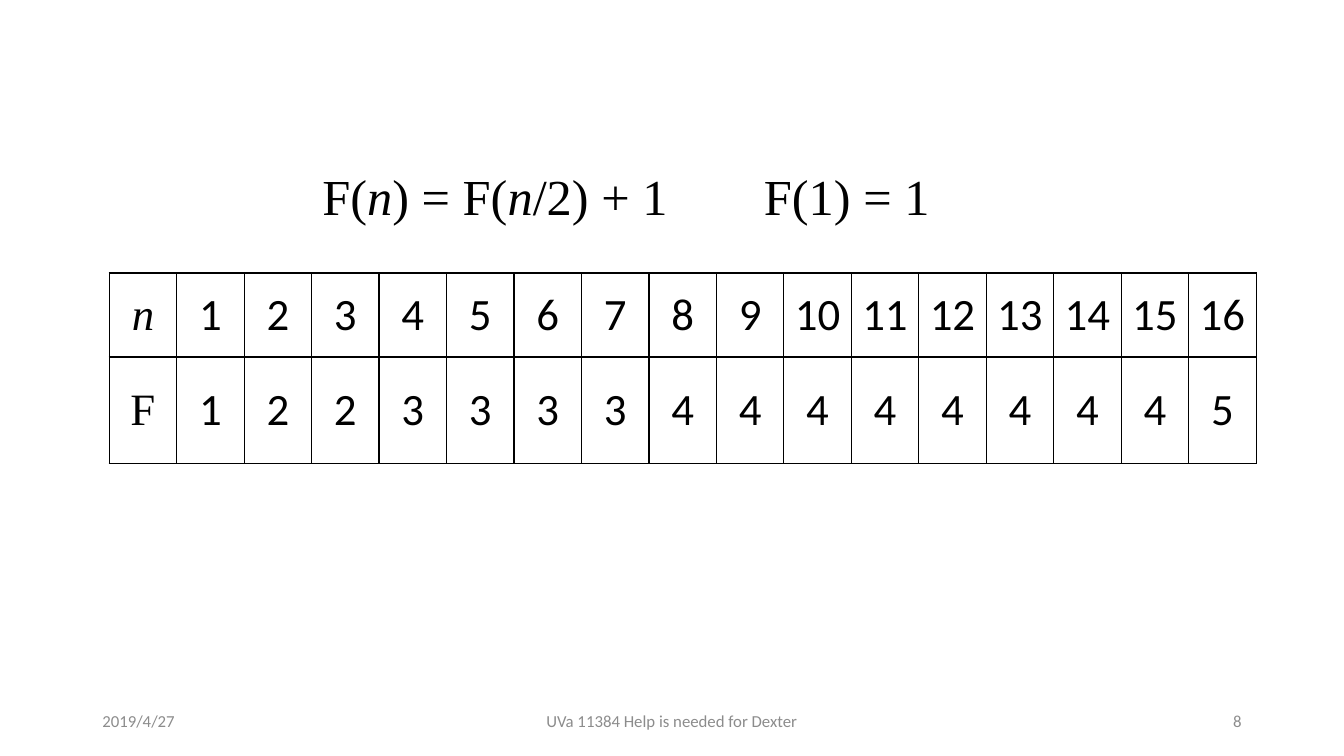
"""Build the slide tabulating the recurrence F(n) = F(n/2) + 1."""
from lxml import etree
from pptx import Presentation
from pptx.dml import color as col
from pptx.enum import text as txt
from pptx.oxml import ns
from pptx.util import Pt


def rgb(value):
    return col.RGBColor.from_string(value)


class SlideBuilder:
    BODY, MATH = "Calibri", "Times New Roman"
    BLACK, GREY = "000000", "8C8C8C"
    LEFT, CENTER, RIGHT = (txt.PP_ALIGN.LEFT, txt.PP_ALIGN.CENTER,
                           txt.PP_ALIGN.RIGHT)

    def __init__(self, slide):
        self.slide = slide

    def add_runs(self, frame, runs, size, font, color, align):
        paragraph = frame.paragraphs[0]
        paragraph.alignment = align
        for words, italic in runs:
            run = paragraph.add_run()
            run.text = words
            run.font.size = Pt(size)
            run.font.name = font
            run.font.italic = italic
            run.font.color.rgb = rgb(color)

    def footer(self, left, width, words, align):
        box = self.slide.shapes.add_textbox(Pt(left), Pt(500.4), Pt(width), Pt(28.8))
        frame = box.text_frame
        frame.word_wrap = True
        frame.vertical_anchor = txt.MSO_ANCHOR.MIDDLE
        self.add_runs(frame, [(words, False)], 12, self.BODY, self.GREY, align)

    def formula(self, left, width, runs):
        box = self.slide.shapes.add_textbox(Pt(left), Pt(114.5), Pt(width), Pt(51))
        frame = box.text_frame
        frame.word_wrap = False
        frame.auto_size = txt.MSO_AUTO_SIZE.SHAPE_TO_FIT_TEXT
        self.add_runs(frame, runs, 36, self.MATH, self.BLACK, self.LEFT)

    def border(self, cell):
        properties = cell._tc.get_or_add_tcPr()
        for side in ("lnL", "lnR", "lnT", "lnB"):
            line = etree.SubElement(properties, ns.qn(f"a:{side}"), w=str(Pt(1)))
            fill = etree.SubElement(line, ns.qn("a:solidFill"))
            etree.SubElement(fill, ns.qn("a:srgbClr"), val=self.BLACK)

    def table(self, left, top, column_width, row_heights, rows):
        columns = len(rows[0])
        grid = self.slide.shapes.add_table(
            len(rows), columns, Pt(left), Pt(top),
            Pt(column_width * columns), Pt(sum(row_heights))).table
        grid.first_row = grid.horz_banding = False
        for column in grid.columns:
            column.width = Pt(column_width)
        for r, (height, entries) in enumerate(zip(row_heights, rows)):
            grid.rows[r].height = Pt(height)
            for c, entry in enumerate(entries):
                cell = grid.cell(r, c)
                self.border(cell)
                cell.fill.background()
                cell.margin_left = cell.margin_right = Pt(2)
                cell.vertical_anchor = txt.MSO_ANCHOR.MIDDLE
                font = self.BODY if c else self.MATH
                self.add_runs(cell.text_frame, [(str(entry), entry == "n")],
                              32, font, self.BLACK, self.CENTER)


def main():
    deck = Presentation()
    deck.slide_width, deck.slide_height = Pt(960), Pt(540)
    page = SlideBuilder(deck.slides.add_slide(deck.slide_layouts[6]))

    page.footer(66, 216, "2019/4/27", page.LEFT)
    page.footer(318, 324, "UVa 11384 Help is needed for Dexter", page.CENTER)
    page.footer(678, 216, "8", page.RIGHT)

    numbers = range(1, 17)
    steps = [n.bit_length() for n in numbers]
    page.table(78, 195, 48.2, (60, 76), [["n", *numbers], ["F", *steps]])

    page.formula(223.2, 297.4, [("F(", False), ("n", True), (") = F(", False),
                                ("n", True), ("/2) + 1", False)])
    page.formula(538.6, 144, [("F(1) = 1", False)])
    deck.save("out.pptx")


if __name__ == "__main__":
    main()
